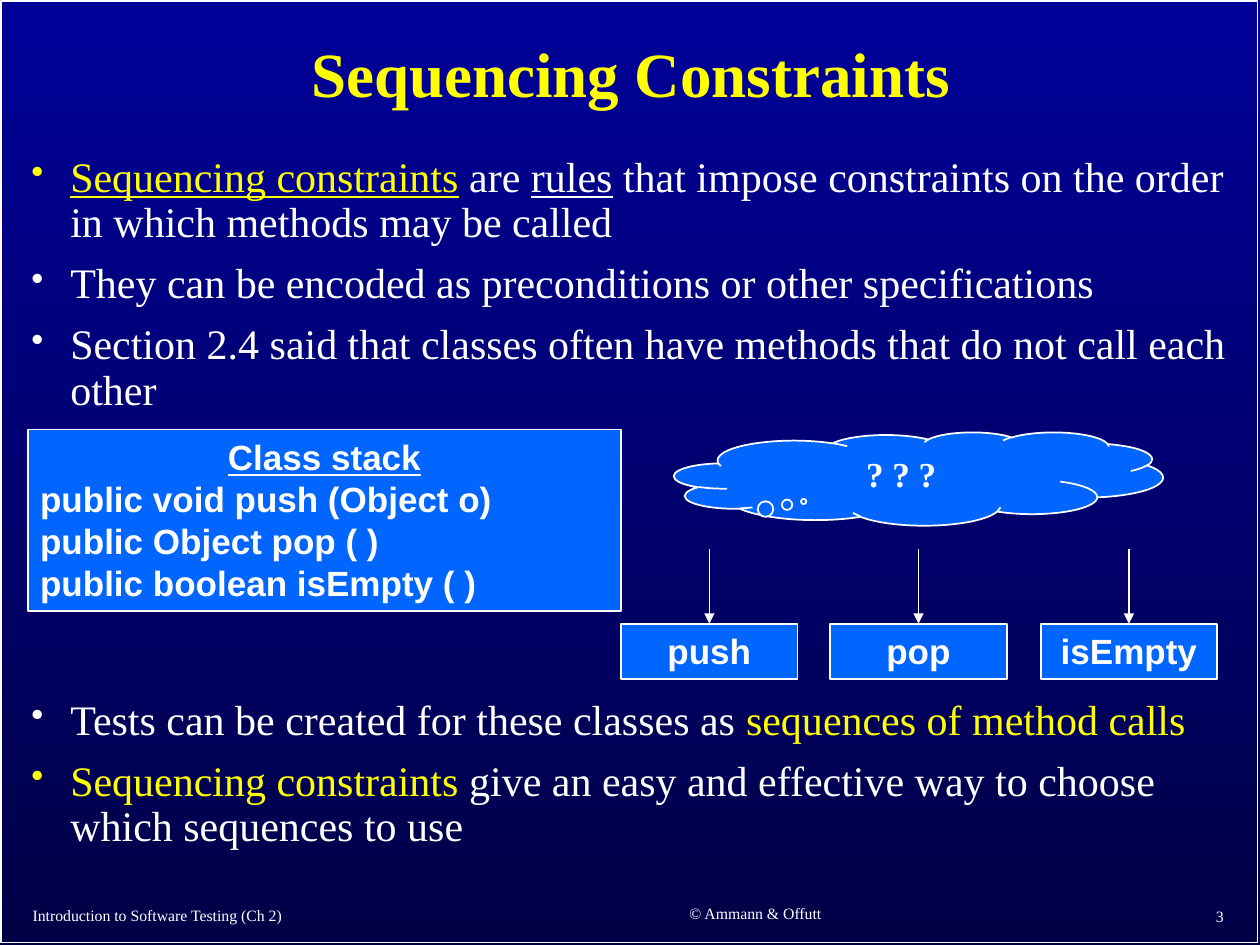
from dataclasses import dataclass

import lxml.etree
import pptx
import pptx.dml.color
import pptx.enum.shapes
import pptx.enum.text
import pptx.oxml.ns
import pptx.util

Inches = pptx.util.Inches
Pt = pptx.util.Pt
SHAPE = pptx.enum.shapes.MSO_SHAPE
ALIGN = pptx.enum.text.PP_ALIGN
ANCHOR = pptx.enum.text.MSO_ANCHOR
qn = pptx.oxml.ns.qn

WHITE, YELLOW, BLUE = "FFFFFF", "FFFF00", "0066FF"
SERIF, SANS = "Times New Roman", "Arial"


@dataclass
class Span:
    text: str
    color: str = WHITE
    underline: bool = False


@dataclass
class Label:
    text: str
    left: float
    top: float
    width: float
    height: float
    size: int = 9
    align: ALIGN = ALIGN.LEFT
    color: str = WHITE
    bold: bool = False


@dataclass
class Method:
    name: str
    left: float


BULLETS_ABOVE = [
    [Span("Sequencing constraints", YELLOW, True), Span(" are "), Span("rules", underline=True),
     Span(" that impose constraints on the order in which methods may be called")],
    [Span("They can be encoded as preconditions or other specifications")],
    [Span("Section 2.4 said that classes often have methods that do not call each other")],
]
BULLETS_BELOW = [
    [Span("Tests can be created for these classes as "),
     Span("sequences of method calls", YELLOW)],
    [Span("Sequencing constraints", YELLOW),
     Span(" give an easy and effective way to choose which sequences to use")],
]
LABELS = [
    Label("Sequencing Constraints", 0.15, 0.11, 9.71, 1, 36, ALIGN.CENTER, YELLOW, True),
    Label("Introduction to Software Testing (Ch 2)", 0.16, 7.07, 4.09, 0.38),
    Label("© Ammann & Offutt", 4.41, 7.05, 3.17, 0.39, align=ALIGN.CENTER),
    Label("3", 7.73, 7.07, 2.08, 0.4, align=ALIGN.RIGHT),
]
STACK_LINES = ["Class stack", "public void push (Object o)", "public Object pop ( )",
               "public boolean isEmpty ( )"]
METHODS = [Method("push", 4.93), Method("pop", 6.59), Method("isEmpty", 8.26)]


def rgb(value: str) -> pptx.dml.color.RGBColor:
    return pptx.dml.color.RGBColor.from_string(value)


def style(paragraph, font: str, size: int, color: str = WHITE, bold: bool = False,
          align: ALIGN = ALIGN.LEFT) -> None:
    paragraph.alignment = align
    paragraph.font.name = font
    paragraph.font.size = Pt(size)
    paragraph.font.bold = bold
    paragraph.font.color.rgb = rgb(color)


def add_paragraph(frame, index: int):
    return frame.add_paragraph() if index else frame.paragraphs[0]


def add_label(slide, label: Label) -> None:
    box = slide.shapes.add_textbox(Inches(label.left), Inches(label.top),
                                   Inches(label.width), Inches(label.height))
    frame = box.text_frame
    frame.word_wrap = True
    frame.vertical_anchor = ANCHOR.MIDDLE
    paragraph = frame.paragraphs[0]
    paragraph.text = label.text
    style(paragraph, SERIF, label.size, label.color, label.bold, label.align)
    if label.bold:
        paragraph.line_spacing = 0.9


def add_bullet(paragraph, color: str) -> None:
    properties = paragraph._p.get_or_add_pPr()
    properties.set("marL", str(Inches(0.31)))
    properties.set("indent", str(-Inches(0.31)))
    bullet_color = lxml.etree.SubElement(properties, qn("a:buClr"))
    lxml.etree.SubElement(bullet_color, qn("a:srgbClr"), val=color)
    lxml.etree.SubElement(properties, qn("a:buSzPct"), val="85000")
    lxml.etree.SubElement(properties, qn("a:buChar"), char="•")


def add_bullets(slide, items: list[list[Span]], top: float, height: float) -> None:
    box = slide.shapes.add_textbox(Inches(0.15), Inches(top), Inches(9.7), Inches(height))
    frame = box.text_frame
    frame.word_wrap = True
    for index, spans in enumerate(items):
        paragraph = add_paragraph(frame, index)
        add_bullet(paragraph, spans[0].color)
        paragraph.line_spacing = 0.9
        paragraph.space_before = Pt(9 if index else 0)
        paragraph.font.name = SERIF
        paragraph.font.size = Pt(24)
        for span in spans:
            run = paragraph.add_run()
            run.text = span.text
            run.font.color.rgb = rgb(span.color)
            if span.underline:
                run.font.underline = True


def add_panel(slide, kind: SHAPE, left: float, top: float, width: float, height: float,
              lines: list[str], font: str = SANS):
    panel = slide.shapes.add_shape(kind, Inches(left), Inches(top), Inches(width), Inches(height))
    panel.shadow.inherit = False
    panel.fill.solid()
    panel.fill.fore_color.rgb = rgb(BLUE)
    panel.line.color.rgb = rgb(WHITE)
    panel.line.width = Pt(1)
    frame = panel.text_frame
    frame.word_wrap = True
    frame.vertical_anchor = ANCHOR.TOP
    for index, line in enumerate(lines):
        paragraph = add_paragraph(frame, index)
        paragraph.text = line
        style(paragraph, font, 20, bold=True, align=ALIGN.LEFT if index else ALIGN.CENTER)
    return panel


def add_method(slide, method: Method) -> None:
    width, top = 1.4, 4.95
    box = add_panel(slide, SHAPE.RECTANGLE, method.left, top, width, 0.44, [method.name])
    center = Inches(method.left + width / 2)
    arrow = slide.shapes.add_connector(pptx.enum.shapes.MSO_CONNECTOR.STRAIGHT,
                                       center, Inches(4.36), center, Inches(top))
    arrow.end_connect(box, 0)
    arrow.line.color.rgb = rgb(WHITE)
    arrow.line.width = Pt(1)
    lxml.etree.SubElement(arrow.line._get_or_add_ln(), qn("a:tailEnd"), type="triangle")
    lxml.etree.SubElement(arrow._element.spPr, qn("a:effectLst"))


def main() -> None:
    deck = pptx.Presentation()
    deck.slide_width, deck.slide_height = Inches(10), Inches(7.5)
    slide = deck.slides.add_slide(deck.slide_layouts[6])

    # Background gradient, darker towards the bottom
    backdrop = slide.background.fill
    backdrop.gradient()
    backdrop.gradient_angle = 270
    for stop, color, position in zip(backdrop.gradient_stops, ("000099", "000047"), (0, 1)):
        stop.color.rgb = rgb(color)
        stop.position = position

    # Slide border
    border = slide.shapes.add_shape(SHAPE.RECTANGLE, Inches(0.01), Inches(0.01),
                                    Inches(9.97), Inches(7.47))
    border.shadow.inherit = False
    border.fill.background()
    border.line.color.rgb = rgb(WHITE)
    border.line.width = Pt(1)

    # Title, footer and bullets
    for label in LABELS:
        add_label(slide, label)
    add_bullets(slide, BULLETS_ABOVE, 1.19, 2.46)
    add_bullets(slide, BULLETS_BELOW, 5.5, 1.39)

    # Stack class and its methods
    stack = add_panel(slide, SHAPE.RECTANGLE, 0.22, 3.41, 4.71, 1.44, STACK_LINES)
    stack.text_frame.paragraphs[0].font.underline = True
    for method in METHODS:
        add_method(slide, method)

    # Unknown caller
    caller = add_panel(slide, SHAPE.CLOUD_CALLOUT, 5.35, 3.43, 3.88, 0.74, ["? ? ?"], SERIF)
    caller.adjustments[0], caller.adjustments[1] = -0.235, 0.244

    deck.save("out.pptx")


if __name__ == "__main__":
    main()
